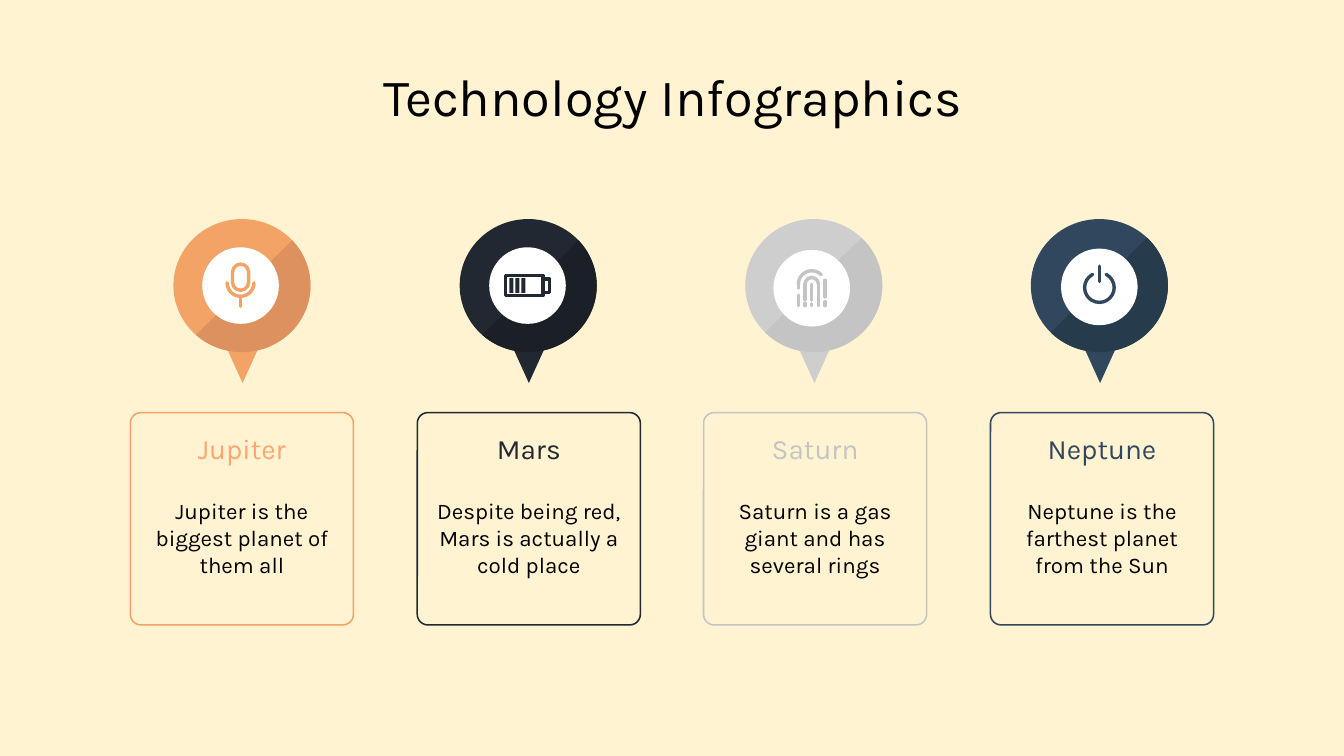
from lxml import etree
from pptx import Presentation
from pptx import util as u
from pptx.dml.color import RGBColor
from pptx.enum import shapes, text
from pptx.oxml.ns import qn

PX = 4572  # EMU per px: 200 px to the inch
CREAM = RGBColor(0xFF, 0xF3, 0xD1)
WHITE = RGBColor(0xFF, 0xFF, 0xFF)
BLACK = RGBColor(0x00, 0x00, 0x00)
APRICOT = RGBColor(0xF2, 0xA3, 0x65)
APRICOT_SHADE = RGBColor(0xDD, 0x91, 0x5E)
APRICOT_TEXT = RGBColor(0xFF, 0xA6, 0x6F)
INK = RGBColor(0x22, 0x28, 0x31)
INK_SHADE = RGBColor(0x1B, 0x1F, 0x26)
SILVER = RGBColor(0xCE, 0xCE, 0xCE)
SILVER_SHADE = RGBColor(0xC4, 0xC4, 0xC4)
NAVY = RGBColor(0x30, 0x47, 0x5E)
NAVY_SHADE = RGBColor(0x26, 0x3C, 0x4C)
SHAPE = shapes.MSO_SHAPE
TOP, MIDDLE = text.MSO_ANCHOR.TOP, text.MSO_ANCHOR.MIDDLE


class Deck:
    """Holds the style and the current slide; lengths are in px."""
    font = "Karla"
    stroke = 1.8
    frame_format = dict(word_wrap=True, auto_size=text.MSO_AUTO_SIZE.NONE,
                        **{f"margin_{side}": 20 * PX
                           for side in ("left", "top", "right", "bottom")})

    def __init__(self, width, height):
        self.prs = Presentation()
        self.prs.slide_width, self.prs.slide_height = width * PX, height * PX
        self.slide = self.prs.slides.add_slide(self.prs.slide_layouts[5])
        self.slide.background.fill.solid()
        self.slide.background.fill.fore_color.rgb = CREAM

    def set_text(self, shape, words, size, color, anchor):
        frame = shape.text_frame
        for key, value in dict(self.frame_format, vertical_anchor=anchor).items():
            setattr(frame, key, value)
        paragraph = frame.paragraphs[0]
        paragraph.alignment = text.PP_ALIGN.CENTER
        run = paragraph.add_run()
        run.text = words
        for key, value in dict(name=self.font, size=u.Pt(size), bold=False).items():
            setattr(run.font, key, value)
        run.font.color.rgb = color

    def title(self, words, box):
        holder = self.slide.shapes.title
        for key, value in zip(("left", "top", "width", "height"), box):
            setattr(holder, key, value * PX)
        self.set_text(holder, words, 28, BLACK, MIDDLE)

    def label(self, words, box, size, color, anchor):
        holder = self.slide.shapes.add_textbox(*(v * PX for v in box))
        self.set_text(holder, words, size, color, anchor)

    def solid(self, kind, box, color, adjust=()):
        shape = self.slide.shapes.add_shape(kind, *(v * PX for v in box))
        shape.shadow.inherit = False
        shape.fill.solid()
        shape.fill.fore_color.rgb = color
        shape.line.fill.background()
        for i, value in enumerate(adjust):
            shape.adjustments[i] = value
        return shape

    def outline(self, kind, box, color, weight=stroke, adjust=()):
        shape = self.solid(kind, box, color, adjust)
        shape.fill.background()
        self.pen(shape, color, weight)

    def line(self, x1, y1, x2, y2, color):
        stroke = self.slide.shapes.add_connector(
            shapes.MSO_CONNECTOR.STRAIGHT, *(v * PX for v in (x1, y1, x2, y2)))
        self.pen(stroke, color, self.stroke)
        etree.SubElement(stroke._element.spPr, qn("a:effectLst"))

    def arc(self, cx, cy, radius, start, end, color):
        box = (cx - radius, cy - radius, 2 * radius, 2 * radius)
        self.outline(SHAPE.ARC, box, color, adjust=angles(start, end))

    def pen(self, shape, color, weight):
        shape.line.color.rgb = color
        shape.line.width = u.Pt(weight)
        shape._element.spPr.find(qn("a:ln")).set("cap", "rnd")


def angles(*degrees):
    """Clockwise degrees as adjustment values."""
    return [d % 360 * 0.6 for d in degrees]


# Icons, each around its hub centre
def microphone(deck, x, y, color):
    deck.outline(SHAPE.ROUNDED_RECTANGLE, (x - 12, y - 32, 24, 39), color, adjust=[0.5])
    deck.arc(x, y - 4, 20, 0, 180, color)
    deck.line(x, y + 16, x, y + 31, color)


def battery(deck, x, y, color):
    deck.outline(SHAPE.RECTANGLE, (x - 33, y - 15, 56, 30), color)
    deck.outline(SHAPE.RECTANGLE, (x + 23, y - 10, 10, 20), color)
    for bar in (-27, -18, -9):
        deck.solid(SHAPE.RECTANGLE, (x + bar, y - 11, 6, 22), color)


def fingerprint(deck, x, y, color):
    deck.arc(x, y - 6, 20, 180, -45, color)
    deck.arc(x, y - 6, 10, 180, 0, color)
    ridges = [(-20, -6, 0), (-20, 10, 26), (-10, -6, 17), (-10, 22, 26), (0, -6, 18),
              (0, 23, 26), (10, -6, 26), (20, -12, 13), (20, 20, 26)]
    for dx, start, end in ridges:
        deck.line(x + dx, y + start, x + dx, y + end, color)


def power(deck, x, y, color):
    deck.arc(x, y + 1, 22, -63, 243, color)
    deck.line(x, y - 31, x, y - 8, color)


# name, fact, pin, shade, card, name colour, icon, hub offset, shade angles
PLANETS = [
    ("Jupiter", "Jupiter is the biggest planet of them all",
     APRICOT, APRICOT_SHADE, APRICOT, APRICOT_TEXT, microphone, (-2, 0), (-42, 133)),
    ("Mars", "Despite being red, Mars is actually a cold place",
     INK, INK_SHADE, INK, INK, battery, (-1, 0), (-42, 133)),
    ("Saturn", "Saturn is a gas giant and has several rings",
     SILVER, SILVER_SHADE, SILVER_SHADE, SILVER_SHADE, fingerprint, (-3, 4), (-45, 136)),
    ("Neptune", "Neptune is the farthest planet from the Sun",
     NAVY, NAVY_SHADE, NAVY, NAVY, power, (0, 2), (-45, 136)),
]


def main():
    deck = Deck(2000, 1125)
    deck.title("Technology Infographics", (156, 90, 1690, 106))

    for i, (name, fact, pin, shade, card, ink, icon, hub, cut) in enumerate(PLANETS):
        # Card with name and fact
        left = round(194 + 426.67 * i)
        deck.outline(SHAPE.ROUNDED_RECTANGLE, (left, 614, 332, 316), card, 0.81, [0.05])
        deck.label(name, (left, 614, 332, 106), 15, ink, MIDDLE)
        deck.label(fact, (left, 720, 332, 210), 12, BLACK, TOP)

        # Pin with its shaded half
        center = round(360.5 + 425.33 * i)
        disc = (center - 102, 326, 204, 198)
        deck.solid(SHAPE.FLOWCHART_MERGE, (center - 28, 506, 58, 64), pin)
        deck.solid(SHAPE.OVAL, disc, pin)
        deck.solid(SHAPE.CHORD, disc, shade, angles(*cut))

        # Hub and icon
        x, y = center + hub[0], 425 + hub[1]
        deck.solid(SHAPE.OVAL, (x - 57, y - 57, 114, 114), WHITE)
        icon(deck, x, y, card)

    deck.prs.save("out.pptx")


if __name__ == "__main__":
    main()
